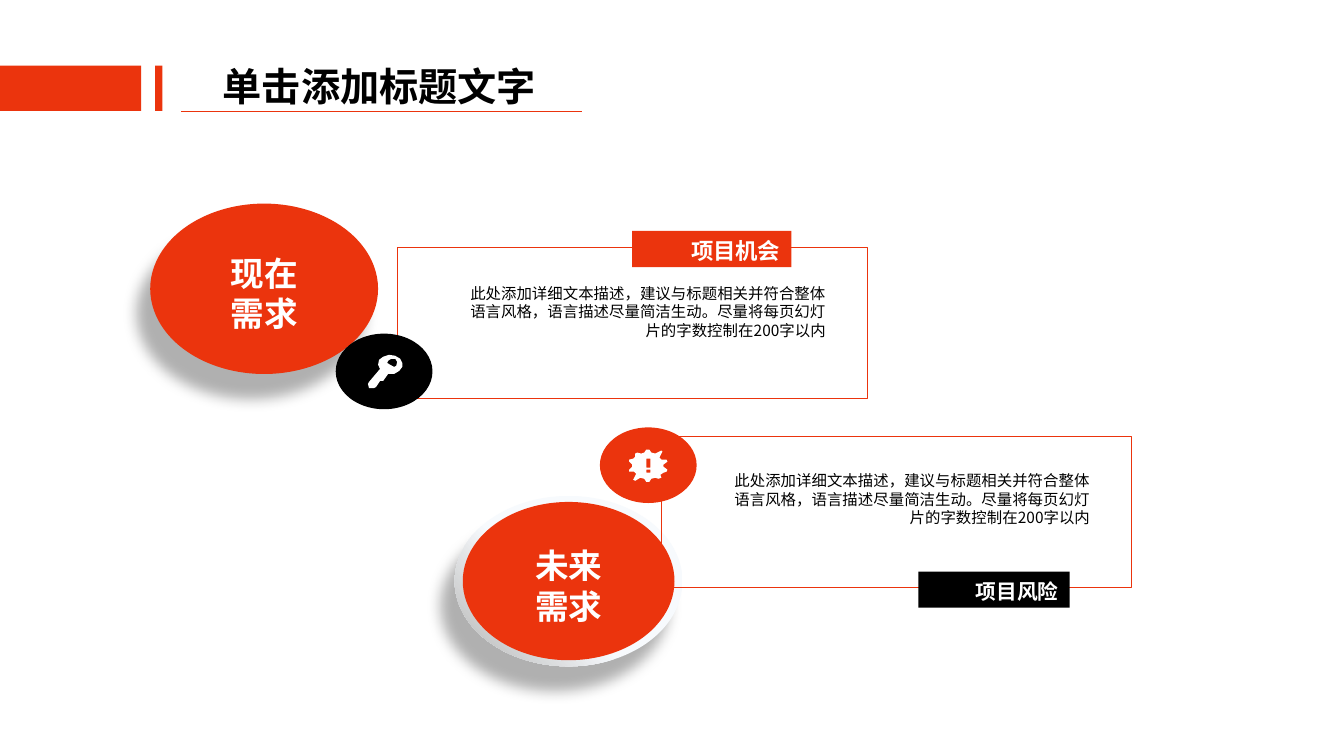
from lxml.etree import SubElement
from pptx import Presentation
from pptx.dml.color import RGBColor
from pptx.enum.shapes import MSO_CONNECTOR, MSO_SHAPE as Preset
from pptx.enum.text import MSO_ANCHOR as Anchor, PP_ALIGN as Align
from pptx.oxml.ns import qn
from pptx.util import Inches, Pt

RED, BLACK, WHITE = "EB340D", "000000", "FFFFFF"
DESCRIPTION = ("此处添加详细文本描述，建议与标题相关并符合整体语言风格，"
               "语言描述尽量简洁生动。尽量将每页幻灯片的字数控制在200字以内")

KEY_ICON = [
    [(3.99, 3.6), (3.97, 3.56), (3.92, 3.53), (3.86, 3.52), (3.8, 3.54),
     (3.76, 3.57), (3.75, 3.62), (3.77, 3.66), (3.66, 3.79), (3.65, 3.81),
     (3.66, 3.85), (3.71, 3.85), (3.73, 3.84), (3.77, 3.78), (3.8, 3.78),
     (3.85, 3.71), (3.91, 3.71), (3.96, 3.68), (3.99, 3.64)],
    [(3.93, 3.63), (3.91, 3.64), (3.87, 3.62), (3.84, 3.6),
     (3.85, 3.58), (3.88, 3.56), (3.92, 3.56), (3.94, 3.59)],
]
WARNING_ICON = [
    [(6.62, 4.66), (6.58, 4.63), (6.58, 4.61), (6.62, 4.58), (6.61, 4.56),
     (6.56, 4.56), (6.54, 4.54), (6.57, 4.48), (6.56, 4.47), (6.5, 4.5),
     (6.46, 4.49), (6.44, 4.46), (6.41, 4.46), (6.39, 4.49), (6.36, 4.5),
     (6.32, 4.49), (6.3, 4.5), (6.3, 4.53), (6.28, 4.55), (6.24, 4.56),
     (6.24, 4.58), (6.27, 4.61), (6.27, 4.63), (6.24, 4.66), (6.24, 4.68),
     (6.29, 4.68), (6.31, 4.7), (6.28, 4.76), (6.3, 4.77), (6.35, 4.74),
     (6.39, 4.75), (6.41, 4.78), (6.44, 4.78), (6.46, 4.75), (6.5, 4.74),
     (6.53, 4.75), (6.56, 4.74), (6.55, 4.71), (6.58, 4.69), (6.61, 4.68)],
    [(6.41, 4.55), (6.45, 4.55), (6.45, 4.64), (6.41, 4.64)],
    [(6.41, 4.66), (6.45, 4.66), (6.45, 4.69), (6.41, 4.69)],
]


def rgb(code):
    return RGBColor.from_string(code)


class SlideBuilder:
    """Draws styled elements on one slide."""

    font_name = "Noto Sans CJK SC"
    leading = 1.2
    drop = 0.12

    def __init__(self, slide):
        self.slide = slide
        self.shapes = slide.shapes

    def set_text(self, shape, text, size, color, bold=True, align=Align.LEFT,
                 wrap=False, anchor=Anchor.TOP, side=0.1, margin=0.05):
        frame = shape.text_frame
        frame.text = text
        frame.word_wrap = wrap
        frame.vertical_anchor = anchor
        frame.margin_left = frame.margin_right = Inches(side)
        frame.margin_top = Inches(margin + self.drop * size / 72)
        frame.margin_bottom = Inches(margin)
        for paragraph in frame.paragraphs:
            paragraph.alignment = align
            paragraph.line_spacing = Pt(self.leading * size)
            for run in paragraph.runs:
                run.font.name = self.font_name
                run.font.size = Pt(size)
                run.font.bold = bold
                run.font.color.rgb = rgb(color)
                east_asian = SubElement(run.font._element, qn("a:ea"))
                east_asian.set("typeface", self.font_name)

    def title(self, box, text, size):
        title = self.shapes.title
        title.left, title.top, title.width, title.height = map(Inches, box)
        self.set_text(title, text, size, BLACK)

    def text(self, box, text, size, color, **style):
        self.set_text(self.shapes.add_textbox(*map(Inches, box)), text, size, color, **style)

    def paint(self, shape, fill):
        shape.shadow.inherit = False
        shape.fill.solid()
        shape.fill.fore_color.rgb = rgb(fill)
        shape.line.fill.background()
        return shape

    def solid(self, preset, box, fill):
        return self.paint(self.shapes.add_shape(preset, *map(Inches, box)), fill)

    def frame(self, box, color, weight):
        frame = self.shapes.add_shape(Preset.RECTANGLE, *map(Inches, box))
        frame.shadow.inherit = False
        frame.fill.background()
        frame.line.color.rgb = rgb(color)
        frame.line.width = Pt(weight)

    def label(self, box, text, size, fill):
        label = self.solid(Preset.RECTANGLE, box, fill)
        self.set_text(label, text, size, WHITE, align=Align.RIGHT, wrap=True,
                      anchor=Anchor.MIDDLE, side=0.11, margin=0.02)

    def icon(self, contours, fill):
        outline, *holes = [[(Inches(x), Inches(y)) for x, y in points]
                           for points in contours]
        builder = self.shapes.build_freeform(*outline[0], scale=1.0)
        builder.add_line_segments(outline[1:], close=True)
        for hole in holes:
            builder.move_to(*hole[0])
            builder.add_line_segments(hole[1:], close=True)
        self.paint(builder.convert_to_shape(), fill)

    def cast_shadow(self, shape):
        effects = shape._element.spPr.find(qn("a:effectLst"))
        shadow = SubElement(effects, qn("a:outerShdw"), blurRad=str(Pt(10)),
                            dist=str(Pt(20)), dir="7200000", algn="ctr", rotWithShape="0")
        color = SubElement(shadow, qn("a:srgbClr"), val=BLACK)
        SubElement(color, qn("a:alpha"), val="31000")

    def shade(self, shape, stops, angle):
        shape.fill.gradient()
        shape.fill.gradient_angle = angle
        stop_list = shape._element.spPr.find(".//" + qn("a:gsLst"))
        for stop in list(stop_list):
            stop_list.remove(stop)
        for position, code in stops:
            stop = SubElement(stop_list, qn("a:gs"), pos=str(position * 1000))
            SubElement(stop, qn("a:srgbClr"), val=code)

    def need(self, left, top, text, rim_stops=None):
        rim = self.solid(Preset.OVAL, (left, top, 2.26, 1.69), RED)
        self.cast_shadow(rim)
        if rim_stops:
            self.shade(rim, rim_stops, 225)
        self.solid(Preset.OVAL, (left + 0.08, top + 0.06, 2.1, 1.57), RED)
        self.text((left + 0.69, top + 0.4, 0.88, 0.91), text, 24, WHITE,
                  align=Align.CENTER)

    def rule(self, start, end, color, weight):
        line = self.shapes.add_connector(MSO_CONNECTOR.STRAIGHT, *map(Inches, start + end))
        line.line.color.rgb = rgb(color)
        line.line.width = Pt(weight)
        SubElement(line._element.spPr, qn("a:effectLst"))


def main():
    deck = Presentation()
    deck.slide_width, deck.slide_height = Inches(13.33), Inches(7.5)
    page = SlideBuilder(deck.slides.add_slide(deck.slide_layouts[5]))

    page.title((2.11, 0.52, 3.34, 0.57), "单击添加标题文字", 28)
    page.need(1.49, 2.02, "现在\n需求")
    page.need(4.51, 4.92, "未来\n需求", [(57, "F7FAFD"), (92, "BFBFBF"), (100, "A6A6A6")])

    for left, top in ((3.94, 2.45), (6.56, 4.33)):
        page.frame((left, top, 4.66, 1.5), RED, 0.25)
    for left, top, fill, icon in ((5.95, 4.24, RED, WARNING_ICON),
                                  (3.33, 3.31, BLACK, KEY_ICON)):
        page.solid(Preset.OVAL, (left, top, 0.96, 0.75), fill)
        page.icon(icon, WHITE)
    for left, top in ((4.52, 2.75), (7.14, 4.61)):
        page.text((left, top, 3.78, 0.67), DESCRIPTION, 11, BLACK, bold=False,
                  align=Align.RIGHT, wrap=True, side=0.11)

    page.label((6.27, 2.29, 1.58, 0.36), "项目机会", 16, RED)
    page.label((9.11, 5.67, 1.5, 0.36), "项目风险", 14.8, BLACK)
    for left, width in ((1.54, 0.07), (0, 1.4)):
        page.solid(Preset.RECTANGLE, (left, 0.65, width, 0.45), RED)
    page.rule((1.8, 1.1), (5.77, 1.1), RED, 0.5)

    deck.save("out.pptx")


if __name__ == "__main__":
    main()
